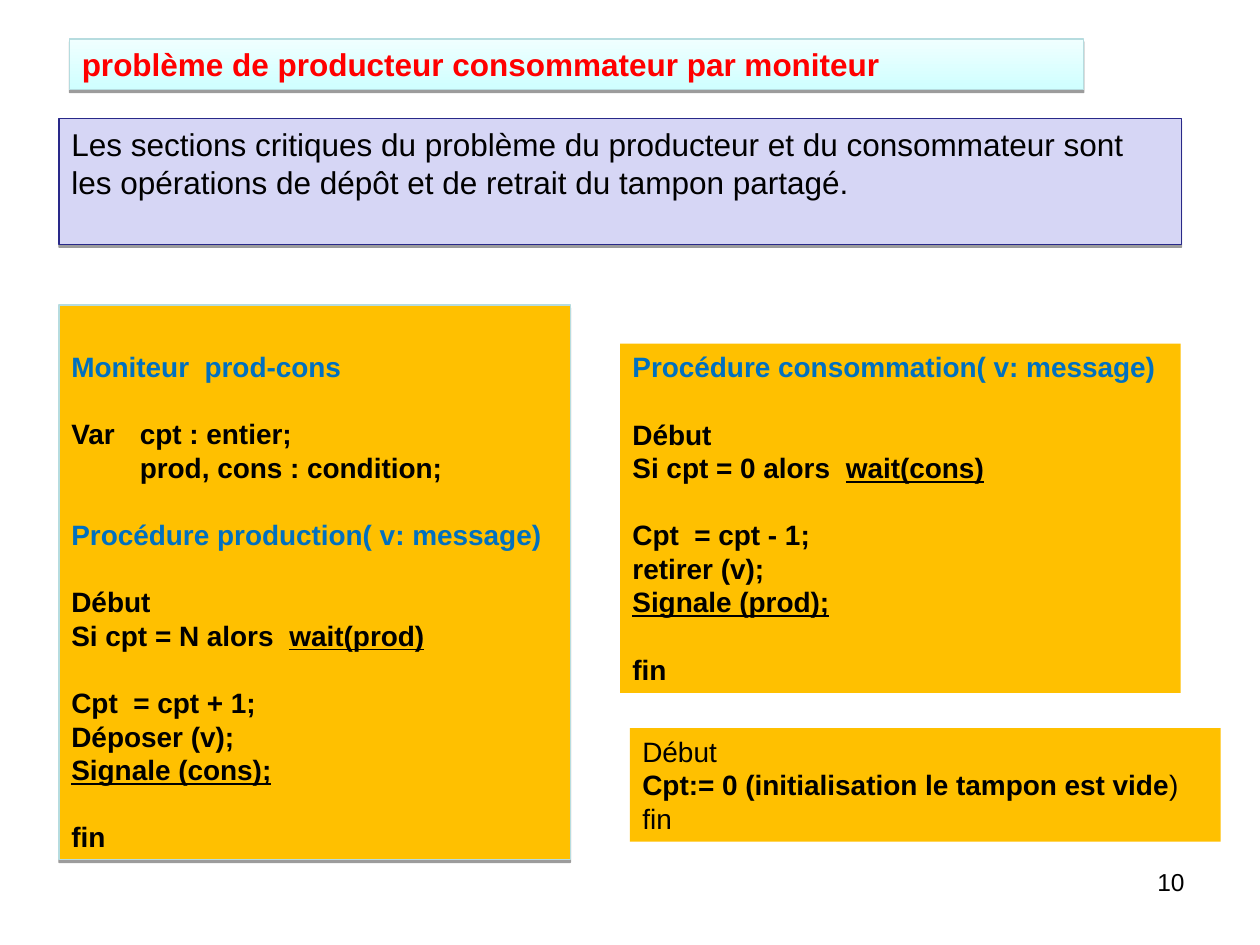
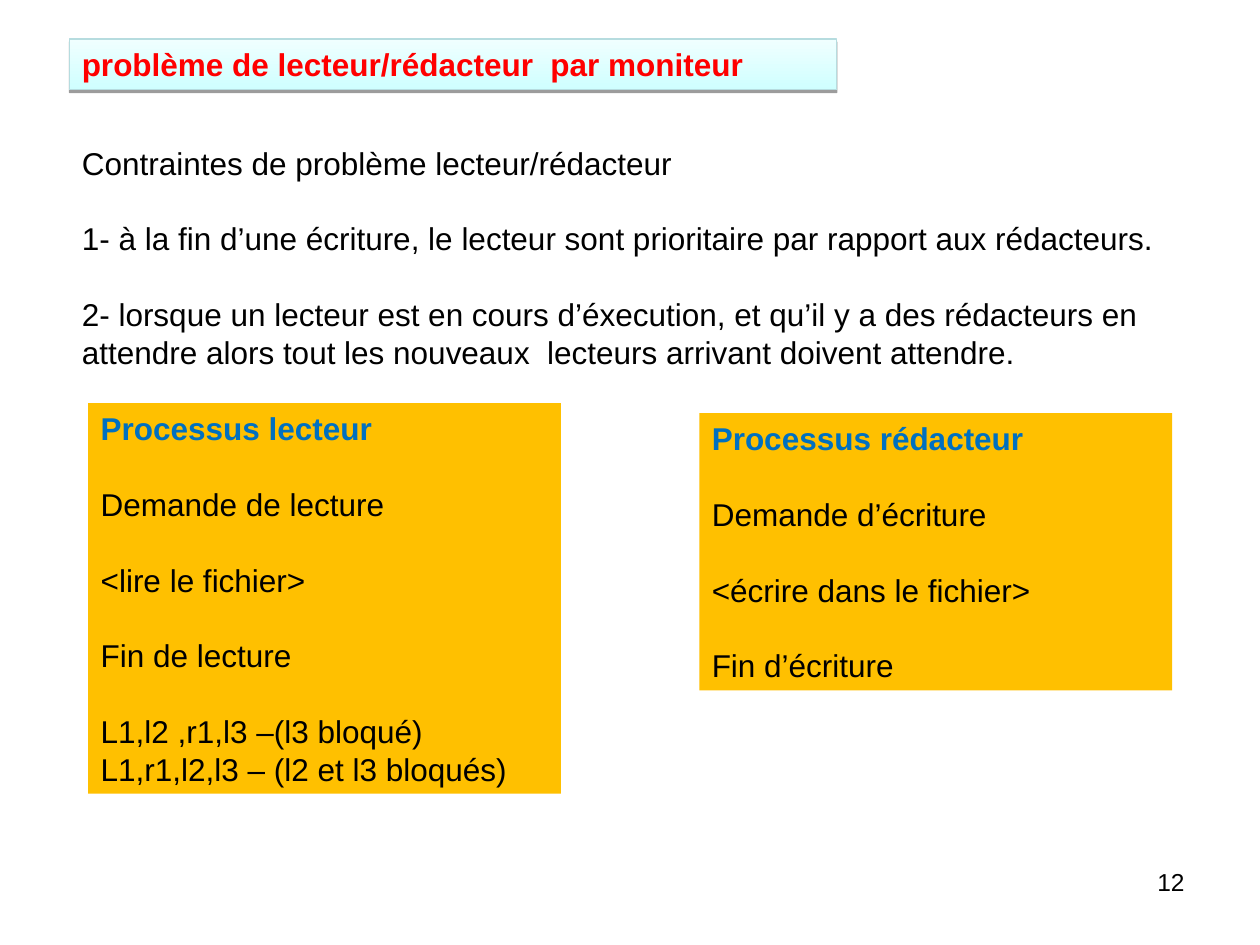
from dataclasses import dataclass

from lxml.etree import SubElement
from pptx import Presentation
from pptx.dml.color import RGBColor as Rgb
from pptx.enum.shapes import MSO_SHAPE as Preset
from pptx.enum.text import MSO_ANCHOR as Anchor, PP_ALIGN as Align
from pptx.oxml.ns import qn
from pptx.util import Cm, Pt


@dataclass(frozen=True)
class Theme:
    font: str = "Arial"
    black: str = "000000"
    title: str = "FF0000"
    heading: str = "0070C0"
    code_fill: str = "FFC000"
    note_fill: str = "D6D6F5"
    note_line: str = "292989"
    band_top: str = "F0FFFF"
    band_bottom: str = "CFFFFF"
    band_line: str = "B6DCDF"
    body_size: int = 18
    code_size: int = 16
    number_size: int = 14
    leading: float = 1.2
    declaration_indent: float = 1.38


@dataclass(frozen=True)
class Line:
    """One paragraph; gap leaves a line free above, hanging pulls its start to the left edge."""
    text: str
    bold: bool = False
    color: str = Theme.black
    gap: bool = False
    underline: bool = False
    indent: float = 0
    hanging: bool = False
    underlined_tail: str = ""
    plain_tail: str = ""


def heading(text, gap=False):
    return Line(text, bold=True, color=Theme.heading, gap=gap)


def code(text, **options):
    return Line(text, bold=True, **options)


def procedure(condition, waiting, update, action, signal):
    """Body that both monitor procedures share."""
    return [
        code("Début", gap=True),
        code(f"Si {condition} alors  ", underlined_tail=f"wait({waiting})"),
        code(update, gap=True),
        code(action),
        code(f"Signale ({signal});", underline=True),
        code("fin", gap=True),
    ]


class Builder:
    def __init__(self, deck, theme):
        self.deck = deck
        self.theme = theme
        self.page = None

    def new_page(self, number, title, title_width):
        self.page = self.deck.slides.add_slide(self.deck.slide_layouts[6])
        label = self.text_box((18.21, 17.35, 5.92, 1.32), [Line(number)],
                              self.theme.number_size)
        label.text_frame.paragraphs[0].alignment = Align.RIGHT
        self.title_band(title, title_width)

    def title_band(self, title, width):
        theme = self.theme
        band = self.box((1.4, 0.79, width, 1.02),
                        [Line(title, bold=True, color=theme.title)],
                        theme.body_size, line=theme.band_line)
        band.fill.gradient()
        band.fill.gradient_angle = 270
        stops = band.fill.gradient_stops
        for stop, position, color in zip(stops, (0, 1), (theme.band_top, theme.band_bottom)):
            stop.position = position
            stop.color.rgb = Rgb.from_string(color)

    def box(self, place, lines, size, fill=None, line=None):
        """Rectangle with text; an outlined one also casts a shadow."""
        box = self.page.shapes.add_shape(Preset.RECTANGLE, *map(Cm, place))
        box.shadow.inherit = False
        if fill:
            box.fill.solid()
            box.fill.fore_color.rgb = Rgb.from_string(fill)
        if line:
            box.line.color.rgb = Rgb.from_string(line)
            box.line.width = Pt(0.75)
            self.cast_shadow(box)
        else:
            box.line.fill.background()
        self.set_lines(box.text_frame, lines, size)
        return box

    def code_box(self, place, lines, size, line=None):
        return self.box(place, lines, size, self.theme.code_fill, line)

    def text_box(self, place, lines, size):
        box = self.page.shapes.add_textbox(*map(Cm, place))
        self.set_lines(box.text_frame, lines, size)
        return box

    def cast_shadow(self, box):
        effects = box.element.spPr.find(qn("a:effectLst"))
        shadow = SubElement(effects, qn("a:outerShdw"), blurRad="0",
                            dist=str(Pt(1.6)), dir="5400000", rotWithShape="0")
        color = SubElement(shadow, qn("a:srgbClr"), val=self.theme.black)
        SubElement(color, qn("a:alpha"), val="38000")

    def set_lines(self, frame, lines, size):
        frame.word_wrap = True
        frame.vertical_anchor = Anchor.TOP
        pitch = Pt(size * self.theme.leading)
        for index, line in enumerate(lines):
            para = frame.add_paragraph() if index else frame.paragraphs[0]
            para.alignment = Align.LEFT
            para.line_spacing = pitch
            if line.gap:
                para.space_before = pitch
            if line.indent:
                self.indent(para, Cm(line.indent), line.hanging)
            font = para.font
            font.name, font.size, font.bold = self.theme.font, Pt(size), line.bold
            font.color.rgb = Rgb.from_string(line.color)
            if line.underline:
                font.underline = True
            para.add_run().text = line.text
            if line.underlined_tail:
                span = para.add_run()
                span.text = line.underlined_tail
                span.font.underline = True
            if line.plain_tail:
                span = para.add_run()
                span.text = line.plain_tail
                span.font.bold = False

    def indent(self, para, distance, hanging):
        props = para._p.get_or_add_pPr()
        props.set("marL", str(distance))
        props.set("indent", str(-distance if hanging else 0))


def producer_consumer(builder):
    theme = builder.theme
    builder.new_page("10", "problème de producteur consommateur par moniteur", 20.45)
    monitor = builder.code_box((1.19, 6.15, 10.31, 11.18), [
        heading("Moniteur  prod-cons"),
        code("Var\tcpt : entier;", gap=True, indent=theme.declaration_indent, hanging=True),
        code("prod, cons : condition;", indent=theme.declaration_indent),
        heading("Procédure production( v: message)", gap=True),
        *procedure("cpt = N", "prod", "Cpt  = cpt + 1;", "Déposer (v);", "cons"),
    ], theme.code_size, theme.band_line)
    monitor.text_frame.vertical_anchor = Anchor.BOTTOM
    builder.code_box((12.5, 6.93, 11.3, 7.04), [
        heading("Procédure consommation( v: message)"),
        *procedure("cpt = 0", "cons", "Cpt  = cpt - 1;", "retirer (v);", "prod"),
    ], theme.code_size)
    builder.code_box((12.7, 14.68, 11.91, 2.29), [
        Line("Début"),
        code("Cpt:= 0 (initialisation le tampon est vide", plain_tail=")"),
        Line("fin"),
    ], theme.code_size)
    builder.box((1.19, 2.39, 22.63, 2.54), [
        Line("Les sections critiques du problème du producteur et du consommateur sont"),
        Line("les opérations de dépôt et de retrait du tampon partagé."),
    ], theme.body_size, theme.note_fill, theme.note_line)


def reader_writer(builder):
    size = builder.theme.body_size
    builder.new_page("12", "problème de lecteur/rédacteur  par moniteur", 15.47)
    builder.text_box((1.4, 2.77, 22.81, 4.83), [
        Line("Contraintes de problème lecteur/rédacteur"),
        Line("1- à la fin d’une écriture, le lecteur sont prioritaire par rapport "
             "aux rédacteurs.", gap=True),
        Line("2- lorsque un lecteur est en cours d’éxecution, et qu’il y a des rédacteurs "
             "en attendre alors tout les nouveaux  lecteurs arrivant doivent attendre.",
             gap=True),
    ], size)
    builder.code_box((1.78, 8.13, 9.53, 7.87), [
        heading("Processus lecteur"),
        Line("Demande de lecture", gap=True),
        Line("<lire le fichier>", gap=True),
        Line("Fin de lecture", gap=True),
        Line("L1,l2 ,r1,l3 –(l3 bloqué)", gap=True),
        Line("L1,r1,l2,l3 – (l2 et l3 bloqués)"),
    ], size)
    builder.code_box((14.1, 8.33, 9.53, 5.59), [
        heading("Processus rédacteur"),
        Line("Demande d’écriture", gap=True),
        Line("<écrire dans le fichier>", gap=True),
        Line("Fin d’écriture", gap=True),
    ], size)


def main():
    deck = Presentation()
    deck.slide_width, deck.slide_height = Cm(25.4), Cm(19.05)
    builder = Builder(deck, Theme())
    producer_consumer(builder)
    reader_writer(builder)
    deck.save("out.pptx")


if __name__ == "__main__":
    main()
